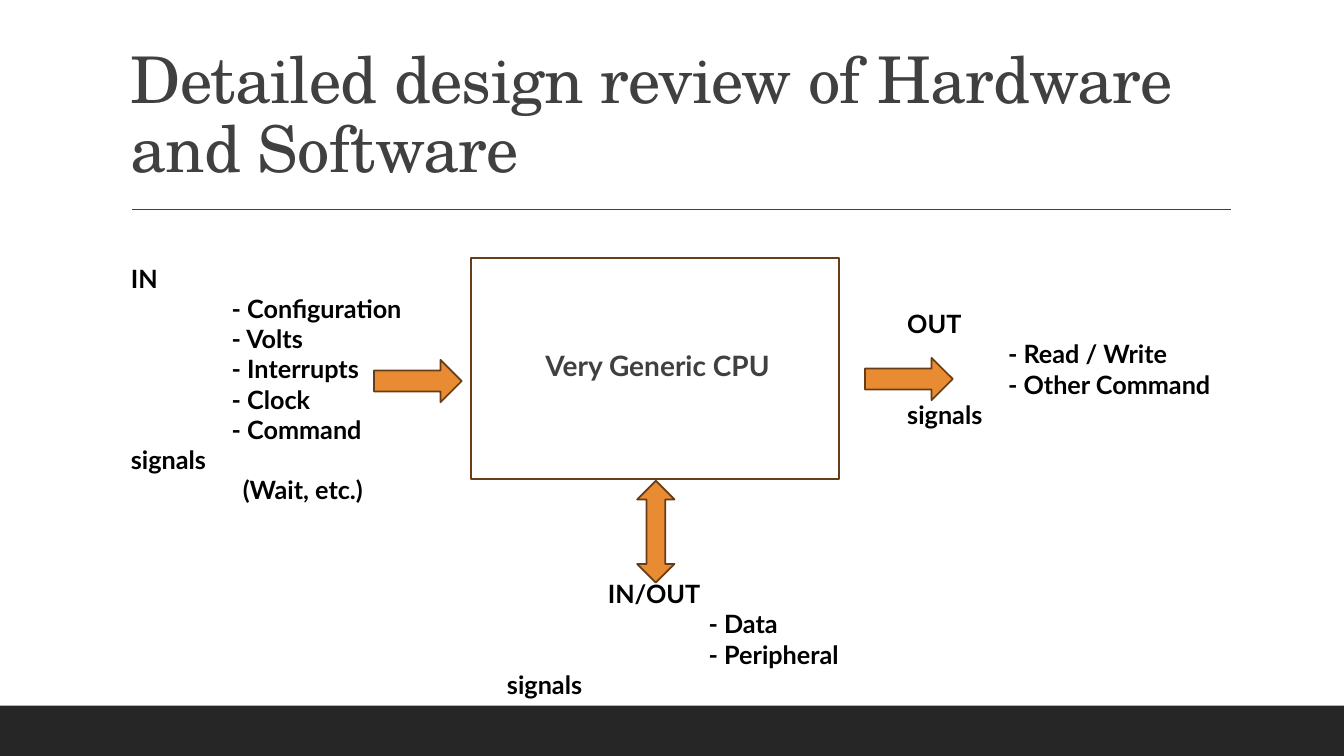
"""Build the slide on the signals of a generic CPU."""
from dataclasses import dataclass

from lxml import etree
from pptx import Presentation
from pptx.dml.color import RGBColor
from pptx.enum.shapes import MSO_CONNECTOR, MSO_SHAPE
from pptx.enum.text import MSO_ANCHOR
from pptx.oxml.ns import qn
from pptx.util import Inches, Pt

BOX = MSO_SHAPE.RECTANGLE
RIGHT = MSO_SHAPE.RIGHT_ARROW
UP_DOWN = MSO_SHAPE.UP_DOWN_ARROW
STRAIGHT = MSO_CONNECTOR.STRAIGHT
TOP, BOTTOM = MSO_ANCHOR.TOP, MSO_ANCHOR.BOTTOM


@dataclass(frozen=True)
class Theme:
    """Colours, fonts and type sizes."""
    ink: str = "000000"
    gray: str = "404040"
    bar: str = "262626"
    edge: str = "663D16"
    arrow: str = "E88B33"
    serif: str = "TeX Gyre Schola"
    sans: str = "Lato"
    title: int = 46
    label: int = 20
    body: int = 18


@dataclass(frozen=True)
class Line:
    """One paragraph and its first-line indent in inches."""
    text: str
    indent: float = 0


@dataclass(frozen=True)
class Block:
    """A text box with its place and its type."""
    place: tuple[float, float, float, float]
    lines: tuple[Line, ...]
    size: int
    color: str
    font: str
    bold: bool = True
    space: float = 1
    track: int = 0
    inset: float = 0.1
    anchor: MSO_ANCHOR = TOP


@dataclass(frozen=True)
class Figure:
    """A preset shape with its place, fill and edge."""
    kind: MSO_SHAPE
    place: tuple[float, float, float, float]
    fill: str | None
    edge: str | None


THEME = Theme()


def signals(place: tuple[float, float, float, float], *lines: Line) -> Block:
    """Return a list of signals in body type."""
    return Block(place, lines, THEME.body, THEME.ink, THEME.sans)


def arrow(kind: MSO_SHAPE, *place: float) -> Figure:
    """Return a block arrow in the accent colour."""
    return Figure(kind, place, THEME.arrow, THEME.edge)


BLOCKS = (
    Block((1.2, 0.31, 11, 1.59), (Line("Detailed design review of Hardware and Software"),),
          THEME.title, THEME.gray, THEME.serif, bold=False, space=0.9, track=-50,
          anchor=BOTTOM),
    Block((5.41, 3.38, 2.51, 0.56), (Line("Very Generic CPU"),),
          THEME.label, THEME.gray, THEME.sans, space=1.1, inset=0),
    signals((1.2, 2.56, 3, 2.22), Line("IN"), Line("- Configuration", 1),
            Line("- Volts", 1), Line("- Interrupts", 1), Line("- Clock", 1),
            Line("- Command signals", 1), Line("(Wait, etc.)", 1.11)),
    signals((8.9, 3.01, 3.86, 1.01), Line("OUT"), Line("- Read / Write", 1),
            Line("- Other Command signals", 1)),
    signals((4.93, 5.69, 4.18, 1.01), Line("IN/OUT", 1), Line("- Data", 2),
            Line("- Peripheral signals", 2)),
)
BAR = Figure(BOX, (0, 7, 13.33, 0.5), THEME.bar, None)
FIGURES = (
    Figure(BOX, (4.67, 2.56, 3.65, 2.19), None, THEME.edge),
    arrow(RIGHT, 3.71, 3.57, 0.87, 0.42),
    arrow(RIGHT, 8.58, 3.55, 0.87, 0.42),
    arrow(UP_DOWN, 6.32, 4.77, 0.37, 1.01),
)


def draw_figure(slide, figure: Figure) -> None:
    """Draw a preset shape."""
    shape = slide.shapes.add_shape(figure.kind, *map(Inches, figure.place))
    shape.shadow.inherit = False
    if figure.fill:
        shape.fill.solid()
        shape.fill.fore_color.rgb = RGBColor.from_string(figure.fill)
    else:
        shape.fill.background()
    if figure.edge:
        shape.line.color.rgb = RGBColor.from_string(figure.edge)
        shape.line.width = Pt(1.25)
    else:
        shape.line.fill.background()


def draw_block(slide, block: Block) -> None:
    """Draw a text box."""
    frame = slide.shapes.add_textbox(*map(Inches, block.place)).text_frame
    frame.word_wrap = True
    frame.vertical_anchor = block.anchor
    frame.margin_left = frame.margin_right = Inches(block.inset)
    for index, line in enumerate(block.lines):
        para = frame.add_paragraph() if index else frame.paragraphs[0]
        run = para.add_run()
        run.text = line.text
        para.line_spacing = block.space
        font = para.font
        font.name, font.size, font.bold = block.font, Pt(block.size), block.bold
        font.color.rgb = RGBColor.from_string(block.color)
        if line.indent:
            props = para._p.get_or_add_pPr()
            props.set("marL", "0")
            props.set("indent", str(Inches(line.indent)))
        if block.track:
            run._r.get_or_add_rPr().set("spc", str(block.track))


def draw_rule(slide) -> None:
    """Draw the rule under the title."""
    ends = map(Inches, (1.31, 2.08, 12.21, 2.08))
    rule = slide.shapes.add_connector(STRAIGHT, *ends)
    rule.line.color.rgb = RGBColor.from_string(THEME.gray)
    rule.line.width = Pt(1)
    etree.SubElement(rule._element.spPr, qn("a:effectLst"))


def main() -> None:
    """Build and save the slide."""
    deck = Presentation()
    deck.slide_width, deck.slide_height = Inches(13.33), Inches(7.5)
    slide = deck.slides.add_slide(deck.slide_layouts[6])
    draw_figure(slide, BAR)
    draw_rule(slide)
    for block in BLOCKS:
        draw_block(slide, block)
    for figure in FIGURES:
        draw_figure(slide, figure)
    deck.save("out.pptx")


if __name__ == "__main__":
    main()
